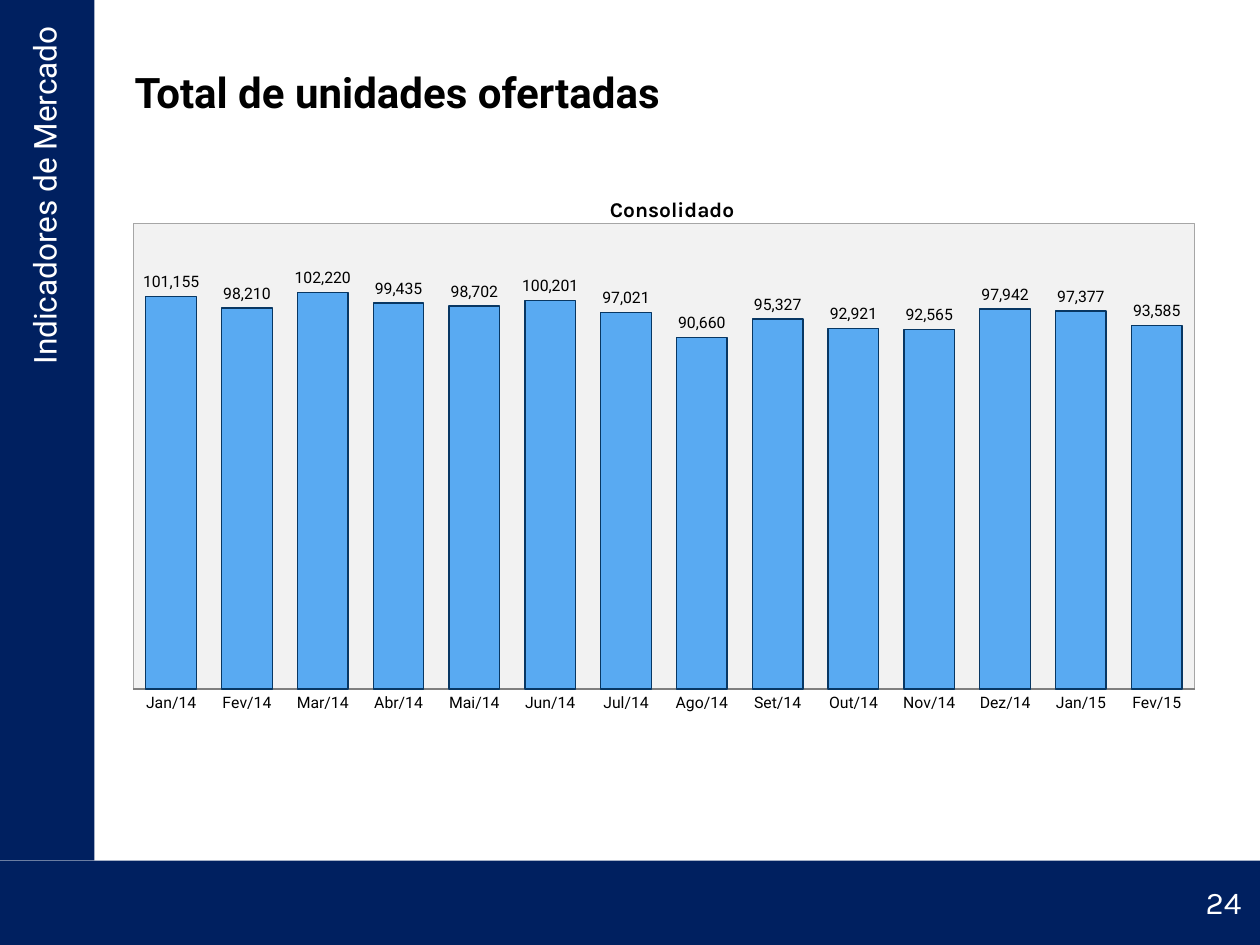
"""Build the slide on total units offered, with its monthly column chart."""
from lxml.etree import SubElement
from pptx import Presentation
from pptx.chart.data import CategoryChartData
from pptx.dml.color import RGBColor
from pptx.enum.chart import XL_CHART_TYPE as ChartType, XL_LABEL_POSITION as LabelPosition
from pptx.enum.chart import XL_TICK_MARK as TickMark
from pptx.enum.shapes import MSO_SHAPE as Shape
from pptx.enum.text import MSO_ANCHOR as Anchor, PP_ALIGN as Align
from pptx.oxml import parse_xml
from pptx.oxml.ns import nsdecls, qn
from pptx.util import Inches, Pt


def set_font(font, name, size, color="000000", bold=False):
    font.name, font.size, font.bold = name, Pt(size), bold
    font.color.rgb = RGBColor.from_string(color)


def add_text(text, left, top, width, height, font="Roboto", size=18, color="FFFFFF",
             bold=False, align=Align.LEFT, anchor=Anchor.TOP, rotation=0):
    box = page.shapes.add_textbox(Inches(left), Inches(top), Inches(width), Inches(height))
    box.rotation = rotation
    box.text_frame.word_wrap = True
    box.text_frame.vertical_anchor = anchor
    para = box.text_frame.paragraphs[0]
    para.alignment = align
    span = para.add_run()
    span.text = text
    set_font(span.font, font, size, color, bold)


deck = Presentation()
deck.slide_width, deck.slide_height = Inches(10), Inches(7.5)
page = deck.slides.add_slide(deck.slide_layouts[6])

for left, top, width, height in [(0, 6.83, 10, 0.67), (0, 0, 0.75, 6.83)]:
    band = page.shapes.add_shape(Shape.RECTANGLE, Inches(left), Inches(top),
                                 Inches(width), Inches(height))
    band.shadow.inherit = False
    band.fill.solid()
    band.fill.fore_color.rgb = RGBColor.from_string("002060")
    band.line.fill.background()

add_text("Indicadores de Mercado", -2.55, 2.81, 5.8, 0.4, align=Align.RIGHT, rotation=270)
add_text("Total de unidades ofertadas", 0.97, 0.29, 8.5, 0.87, size=24, color="000000",
         bold=True, anchor=Anchor.MIDDLE)
add_text("24", 9.47, 6.96, 0.53, 0.54, font="Karla")

data = CategoryChartData(number_format="#,##0")
data.categories = ["Jan/14", "Fev/14", "Mar/14", "Abr/14", "Mai/14", "Jun/14", "Jul/14",
                   "Ago/14", "Set/14", "Out/14", "Nov/14", "Dez/14", "Jan/15", "Fev/15"]
data.add_series("Series 1", [101155, 98210, 102220, 99435, 98702, 100201, 97021,
                             90660, 95327, 92921, 92565, 97942, 97377, 93585])
chart = page.shapes.add_chart(ChartType.COLUMN_CLUSTERED, Inches(0.97), Inches(1.32),
                              Inches(8.73), Inches(5.03), data).chart
set_font(chart.font, "Karla", 10)
chart.has_legend = False
chart.has_title = True
title = chart.chart_title
title.include_in_layout = False
span = title.text_frame.paragraphs[0].add_run()
span.text = "Consolidado"
set_font(span.font, "Karla", 12, bold=True)

months = chart.category_axis
months.major_tick_mark = months.minor_tick_mark = TickMark.NONE
months.format.line.color.rgb = RGBColor.from_string("808080")
months.format.line.width = Pt(0.75)
set_font(months.tick_labels.font, "Roboto", 9)

units = chart.value_axis
units.minimum_scale, units.maximum_scale = 0, 120000
units.has_major_gridlines = False
units.visible = False

plot = chart.plots[0]
plot.gap_width = 50
plot.vary_by_categories = False
columns = plot.series[0]
columns.format.fill.solid()
columns.format.fill.fore_color.rgb = RGBColor.from_string("59AAF2")
columns.format.line.color.rgb = RGBColor.from_string("083763")
columns.format.line.width = Pt(0.75)
labels = columns.data_labels
labels.show_value = True
labels.number_format, labels.number_format_is_linked = "#,##0", False
labels.position = LabelPosition.OUTSIDE_END
set_font(labels.font, "Roboto", 9)

area = chart._chartSpace.chart.plotArea
area.append(parse_xml(
    f'<c:spPr {nsdecls("c", "a")}><a:solidFill><a:srgbClr val="F2F2F2"/></a:solidFill>'
    '<a:ln w="9525"><a:solidFill><a:srgbClr val="A6A6A6"/></a:solidFill></a:ln></c:spPr>'))

title_place = {"xMode": "edge", "yMode": "edge", "x": 0.44, "y": 0.04}
plot_place = {"layoutTarget": "inner", "xMode": "edge", "yMode": "edge",
              "x": 0.01, "y": 0.09, "w": 0.965, "h": 0.735}
for owner, index, place in [(title._element, 1, title_place), (area, 0, plot_place)]:
    for old in owner.findall(qn("c:layout")):
        owner.remove(old)
    layout = parse_xml(f'<c:layout {nsdecls("c")}/>')
    owner.insert(index, layout)
    manual = SubElement(layout, qn("c:manualLayout"))
    for tag, value in place.items():
        SubElement(manual, qn(f"c:{tag}")).set("val", str(value))

deck.save("out.pptx")
